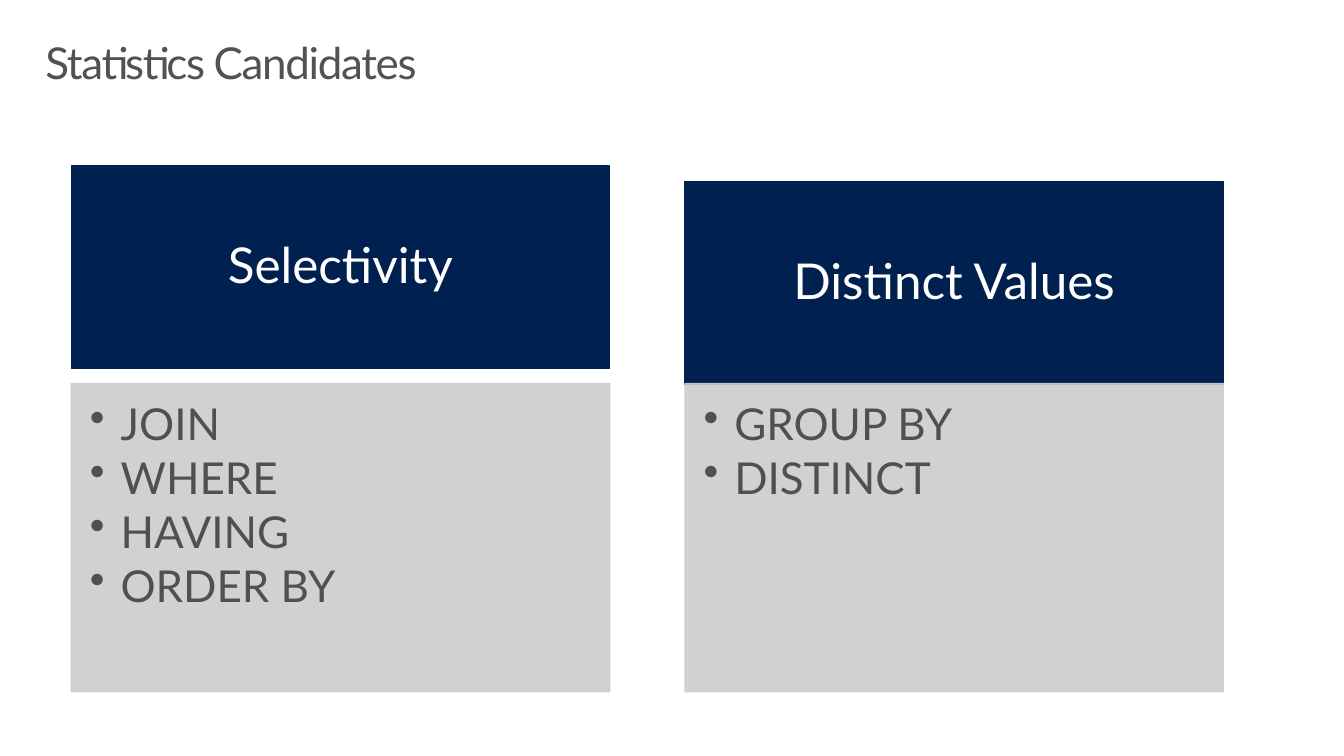
from dataclasses import dataclass

from lxml import etree
from pptx import Presentation
from pptx.dml.color import RGBColor
from pptx.enum.shapes import MSO_SHAPE
from pptx.enum.text import MSO_ANCHOR, MSO_AUTO_SIZE, PP_ALIGN
from pptx.oxml.ns import qn
from pptx.util import Pt

RECTANGLE = MSO_SHAPE.RECTANGLE
TOP, MIDDLE = MSO_ANCHOR.TOP, MSO_ANCHOR.MIDDLE
LEFT, CENTER = PP_ALIGN.LEFT, PP_ALIGN.CENTER
NO_AUTOFIT = MSO_AUTO_SIZE.NONE
PX = 9144


@dataclass(frozen=True)
class Theme:
    font: str = "Lato"
    title: str = "525252"
    navy: str = "002050"
    gray: str = "CCCDD0"
    body: str = "505050"
    white: str = "FFFFFF"
    title_size: int = 32
    heading_size: int = 36
    body_size: int = 32


THEME = Theme()


def write_text(shape, lines, size, color, align, anchor, insets):
    frame = shape.text_frame
    frame.word_wrap = True
    frame.auto_size = NO_AUTOFIT
    frame.vertical_anchor = anchor
    frame.margin_left, frame.margin_top, frame.margin_right, frame.margin_bottom = (
        inset * PX for inset in insets
    )
    frame.text = "\n".join(lines)
    for para in frame.paragraphs:
        para.alignment = align
        para.line_spacing = 0.9
        para.font.name = THEME.font
        para.font.size = Pt(size)
        para.font.color.rgb = RGBColor.from_string(color)
    return frame.paragraphs


def add_panel(page, left, top, width, height, color, opacity):
    panel = page.shapes.add_shape(RECTANGLE, left * PX, top * PX, width * PX, height * PX)
    panel.shadow.inherit = False
    panel.line.width = Pt(0.85)
    for fill in (panel.fill, panel.line.fill):
        fill.solid()
        fill.fore_color.rgb = RGBColor.from_string(color)
    if opacity < 100:
        for tint in panel._element.spPr.iter(qn("a:srgbClr")):
            etree.SubElement(tint, qn("a:alpha"), val=str(opacity * 1000))
    return panel


deck = Presentation()
deck.slide_width, deck.slide_height = 1360 * PX, 765 * PX
page = deck.slides.add_slide(deck.slide_layouts[5])

title = page.shapes.title
title.left, title.top, title.width, title.height = 30 * PX, 32 * PX, 1300 * PX, 100 * PX
title_paras = write_text(
    title, ["Statistics Candidates"], THEME.title_size, THEME.title, LEFT, TOP, (16, 10, 16, 10)
)
title_paras[0].runs[0].font._element.set("spc", "-100")

COLUMN_LEFT, COLUMN_STEP, COLUMN_WIDTH = 72, 621, 545
HEADING_HEIGHT, LIST_TOP, LIST_HEIGHT = 205, 388, 312
BULLET_INDENT = 31 * PX

columns = [
    ("Selectivity", 168, ["JOIN", "WHERE", "HAVING", "ORDER BY"]),
    ("Distinct Values", 184, ["GROUP BY", "DISTINCT"]),
]

for index, (heading, heading_top, clauses) in enumerate(columns):
    left = COLUMN_LEFT + index * COLUMN_STEP
    heading_box = add_panel(
        page, left, heading_top, COLUMN_WIDTH, HEADING_HEIGHT, THEME.navy, 100
    )
    write_text(
        heading_box, [heading], THEME.heading_size, THEME.white, CENTER, MIDDLE, (28, 16, 28, 16)
    )

    list_box = add_panel(page, left, LIST_TOP, COLUMN_WIDTH, LIST_HEIGHT, THEME.gray, 90)
    clause_paras = write_text(
        list_box, clauses, THEME.body_size, THEME.body, LEFT, TOP, (19, 19, 25, 28)
    )
    for para in clause_paras:
        para.space_after = Pt(4.8)
        properties = para._p.get_or_add_pPr()
        properties.set("marL", str(BULLET_INDENT))
        properties.set("indent", str(-BULLET_INDENT))
        bullet = etree.Element(qn("a:buChar"), char="•")
        properties.find(qn("a:defRPr")).addprevious(bullet)

deck.save("out.pptx")
